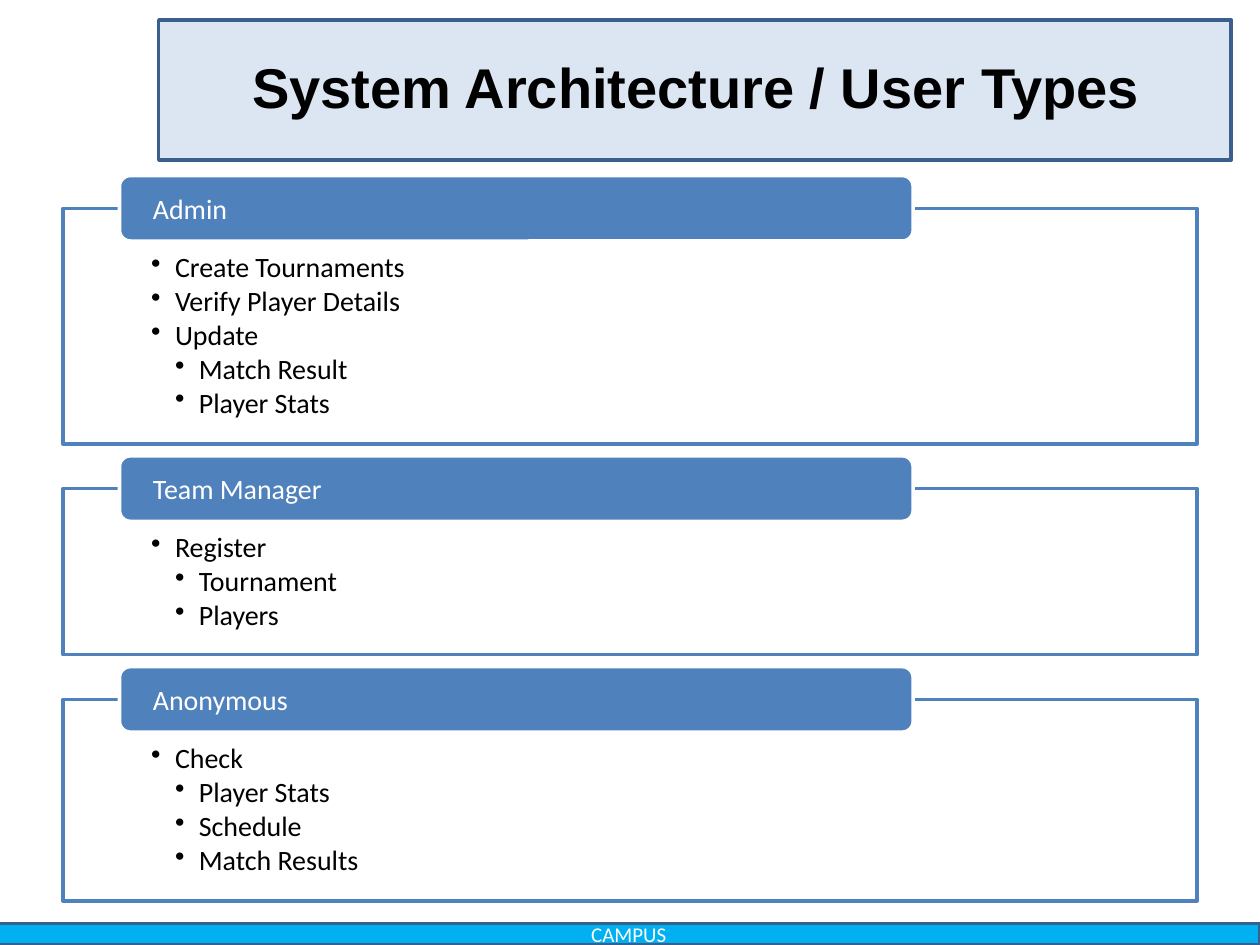
from lxml import etree
from pptx import Presentation
from pptx.dml.color import RGBColor
from pptx.enum.shapes import MSO_SHAPE
from pptx.enum.text import MSO_ANCHOR, PP_ALIGN
from pptx.oxml.ns import qn
from pptx.util import Cm, Pt

RECTANGLE, ROUNDED = MSO_SHAPE.RECTANGLE, MSO_SHAPE.ROUNDED_RECTANGLE
TOP, MIDDLE = MSO_ANCHOR.TOP, MSO_ANCHOR.MIDDLE
LEFT, CENTER = PP_ALIGN.LEFT, PP_ALIGN.CENTER

COLORS = {"blue": "4F81BD", "dark_blue": "3A5F8C", "pale_blue": "DCE6F2",
          "cyan": "00B0F0", "white": "FFFFFF", "black": "000000"}

USER_TYPES = [
    ("Admin", 4.75, [(1, "Create Tournaments"), (1, "Verify Player Details"), (1, "Update"),
                     (2, "Match Result"), (2, "Player Stats")]),
    ("Team Manager", 3.35, [(1, "Register"), (2, "Tournament"), (2, "Players")]),
    ("Anonymous", 4.06, [(1, "Check"), (2, "Player Stats"), (2, "Schedule"),
                         (2, "Match Results")]),
]
FIRST_PANEL_TOP = 4.2
PANEL_GAP = 0.9
TAB_RISE = 0.66
INDENT = 0.48


class SlideBuilder:
    """Holds the style and the current slide, and adds elements to it."""

    def __init__(self, slide, font="Calibri", size=16):
        self.slide = slide
        self.font = font
        self.size = size

    def color(self, name):
        return RGBColor.from_string(COLORS[name])

    def box(self, kind, bounds, fill, line, alpha=None):
        shape = self.slide.shapes.add_shape(kind, *map(Cm, bounds))
        shape.shadow.inherit = False
        shape.fill.solid()
        shape.fill.fore_color.rgb = self.color(fill)
        if alpha:
            color = shape.fill._xPr.find(f"{qn('a:solidFill')}/{qn('a:srgbClr')}")
            etree.SubElement(color, qn("a:alpha"), val=str(alpha * 1000))
        shape.line.color.rgb = self.color(line)
        shape.line.width = Pt(2)
        return shape

    def frame(self, shape, anchor, insets):
        frame = shape.text_frame
        frame.word_wrap = True
        frame.vertical_anchor = anchor
        (frame.margin_left, frame.margin_top,
         frame.margin_right, frame.margin_bottom) = map(Cm, insets)
        return frame

    def style(self, paragraph, color, align=LEFT, size=None, font=None, bold=False):
        paragraph.alignment = align
        paragraph.font.name = font or self.font
        paragraph.font.size = Pt(size or self.size)
        paragraph.font.bold = bold
        paragraph.font.color.rgb = self.color(color)

    def label(self, shape, text, color, insets=(0, 0, 0, 0), **style):
        paragraph = self.frame(shape, MIDDLE, insets).paragraphs[0]
        paragraph.text = text
        self.style(paragraph, color, **style)

    def title(self, bounds, text):
        shape = self.slide.shapes.add_textbox(*map(Cm, bounds))
        self.label(shape, text, "black", (0.25, 0.13, 0.25, 0.13),
                   align=CENTER, size=32, font="Arial", bold=True)

    def bullets(self, shape, items):
        frame = self.frame(shape, TOP, (1.78, 0.91, 1.78, 0.3))
        for index, (level, text) in enumerate(items):
            paragraph = frame.add_paragraph() if index else frame.paragraphs[0]
            paragraph.text = text
            paragraph.level = level
            paragraph.line_spacing = 0.9
            paragraph.space_before = Pt(0)
            paragraph.space_after = Pt(2.1)
            properties = paragraph._p.get_or_add_pPr()
            properties.set("marL", str(Cm(INDENT * level)))
            properties.set("indent", str(-Cm(INDENT)))
            etree.SubElement(properties, qn("a:buChar"), char="•")
            self.style(paragraph, "black")

    def user_type(self, top, height, name, items):
        panel = self.box(RECTANGLE, (1.27, top, 22.86, height), "white", "blue", alpha=90)
        self.bullets(panel, items)
        tab = self.box(ROUNDED, (2.41, top - TAB_RISE, 16, 1.32), "blue", "white")
        self.label(tab, name, "white", (0.61, 0, 0.61, 0))


presentation = Presentation()
presentation.slide_width, presentation.slide_height = Cm(25.4), Cm(19.05)
builder = SlideBuilder(presentation.slides.add_slide(presentation.slide_layouts[6]))

builder.box(RECTANGLE, (3.2, 0.4, 21.62, 2.83), "pale_blue", "dark_blue")
footer = builder.box(RECTANGLE, (-0.05, 18.62, 25.45, 0.43), "cyan", "dark_blue")
builder.label(footer, "CAMPUS", "white", align=CENTER, size=12)

panel_top = FIRST_PANEL_TOP
for name, height, items in USER_TYPES:
    builder.user_type(panel_top, height, name, items)
    panel_top += height + PANEL_GAP

builder.title((3.2, 0.4, 21.67, 2.67), "System Architecture / User Types")
presentation.save("out.pptx")
